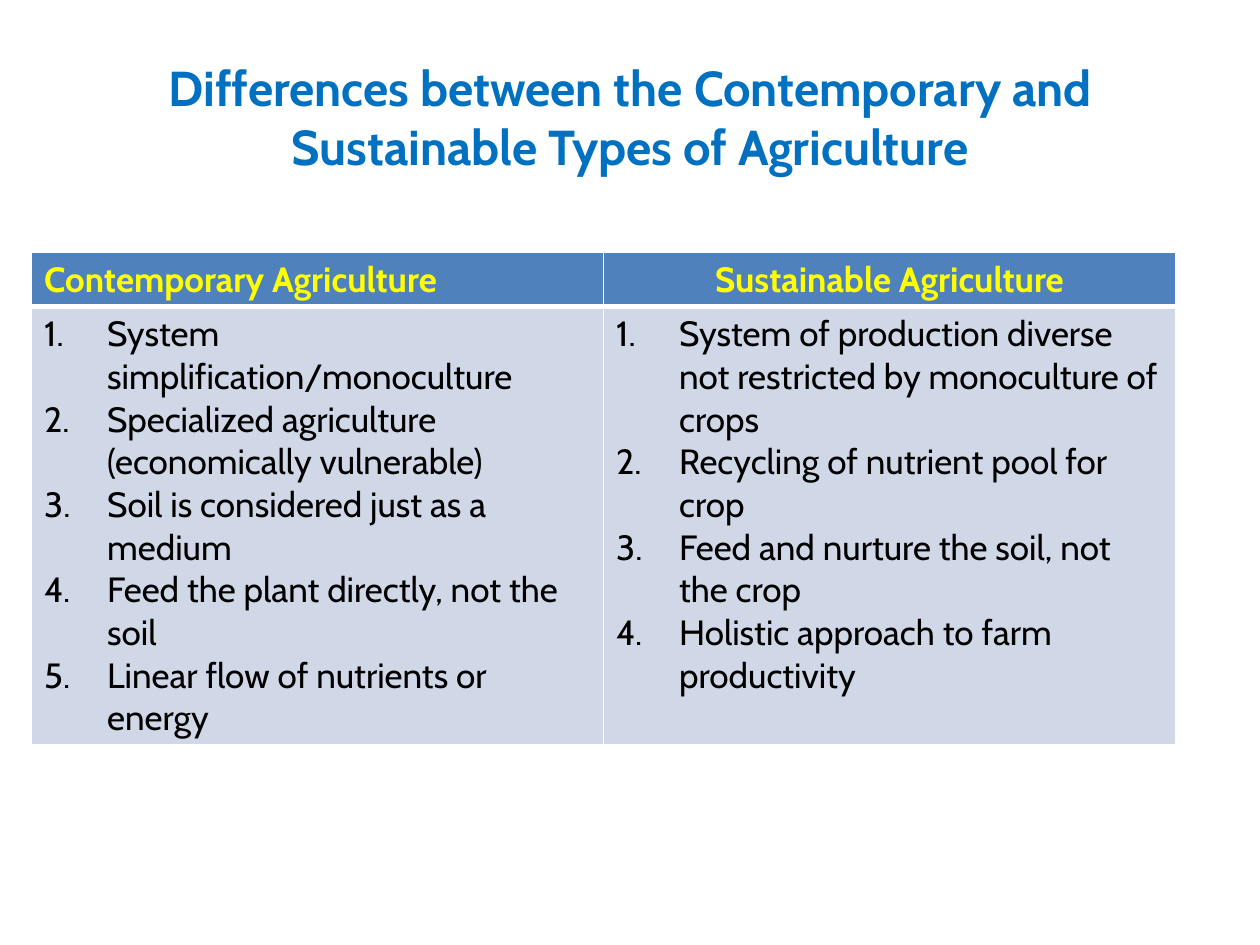
from dataclasses import dataclass

from lxml.etree import SubElement
from pptx import Presentation
from pptx.dml.color import RGBColor
from pptx.enum.text import MSO_ANCHOR, PP_ALIGN
from pptx.oxml.ns import qn
from pptx.util import Inches, Pt

FONT = "Cabin"
TITLE_BLUE = RGBColor(0x00, 0x70, 0xC0)
HEADER_BLUE = RGBColor(0x4F, 0x81, 0xBD)
BODY_BLUE = RGBColor(0xD0, 0xD8, 0xE8)
YELLOW = RGBColor(0xFF, 0xFF, 0x00)
BLACK = RGBColor(0x00, 0x00, 0x00)
WHITE = RGBColor(0xFF, 0xFF, 0xFF)
COLUMN_WIDTH = Inches(4.54)
ROW_HEIGHTS = (Inches(0.43), Inches(3.48))


@dataclass(frozen=True)
class AgricultureType:
    heading: str
    alignment: PP_ALIGN
    traits: tuple[str, ...]


TITLE = "Differences between the Contemporary and Sustainable Types of Agriculture"
TYPES = (
    AgricultureType("Contemporary Agriculture", PP_ALIGN.LEFT, (
        "System simplification/monoculture",
        "Specialized agriculture (economically vulnerable)",
        "Soil is considered just as a medium",
        "Feed the plant directly, not the soil",
        "Linear flow of nutrients or energy",
    )),
    AgricultureType("Sustainable Agriculture", PP_ALIGN.CENTER, (
        "System of production diverse not restricted by monoculture of crops",
        "Recycling of nutrient pool for crop",
        "Feed and nurture the soil, not the crop",
        "Holistic approach to farm productivity",
    )),
)


def style_paragraph(para, size: int, color: RGBColor, bold: bool) -> None:
    para.font.name = FONT
    para.font.size = Pt(size)
    para.font.bold = bold
    para.font.color.rgb = color


def number_paragraph(para) -> None:
    properties = para._p.get_or_add_pPr()
    properties.set("marL", str(Inches(0.5)))
    properties.set("indent", str(-Inches(0.5)))
    SubElement(properties, qn("a:buAutoNum"), type="arabicPeriod")


def style_cell(cell, fill: RGBColor, bottom_width: float) -> None:
    properties = cell._tc.get_or_add_tcPr()
    for side, width in (("L", 1), ("R", 1), ("T", 1), ("B", bottom_width)):
        line = SubElement(properties, qn(f"a:ln{side}"), w=str(Pt(width)))
        SubElement(SubElement(line, qn("a:solidFill")), qn("a:srgbClr"), val=str(WHITE))
    cell.fill.solid()
    cell.fill.fore_color.rgb = fill


def add_title(page) -> None:
    box = page.shapes.add_textbox(Inches(0.5), Inches(0.3), Inches(9), Inches(1.25))
    box.text_frame.word_wrap = True
    box.text_frame.vertical_anchor = MSO_ANCHOR.MIDDLE
    para = box.text_frame.paragraphs[0]
    para.text = TITLE
    para.alignment = PP_ALIGN.CENTER
    style_paragraph(para, 28, TITLE_BLUE, True)


def fill_column(table, column: int, kind: AgricultureType) -> None:
    header, body = table.cell(0, column), table.cell(1, column)
    style_cell(header, HEADER_BLUE, 3)
    style_cell(body, BODY_BLUE, 1)
    para = header.text_frame.paragraphs[0]
    para.text = kind.heading
    para.alignment = kind.alignment
    style_paragraph(para, 20, YELLOW, True)
    body.text = "\n".join(kind.traits)
    for para in body.text_frame.paragraphs:
        number_paragraph(para)
        style_paragraph(para, 20, BLACK, False)


def add_comparison(page) -> None:
    table = page.shapes.add_table(
        len(ROW_HEIGHTS), len(TYPES), Inches(0.25), Inches(2),
        COLUMN_WIDTH * len(TYPES), sum(ROW_HEIGHTS),
    ).table
    for row, height in zip(table.rows, ROW_HEIGHTS):
        row.height = height
    for column, kind in enumerate(TYPES):
        table.columns[column].width = COLUMN_WIDTH
        fill_column(table, column, kind)


def main() -> None:
    """Build the slide comparing two types of agriculture."""
    deck = Presentation()
    deck.slide_width = Inches(10)
    deck.slide_height = Inches(7.5)
    page = deck.slides.add_slide(deck.slide_layouts[6])
    add_title(page)
    add_comparison(page)
    deck.save("out.pptx")


if __name__ == "__main__":
    main()
